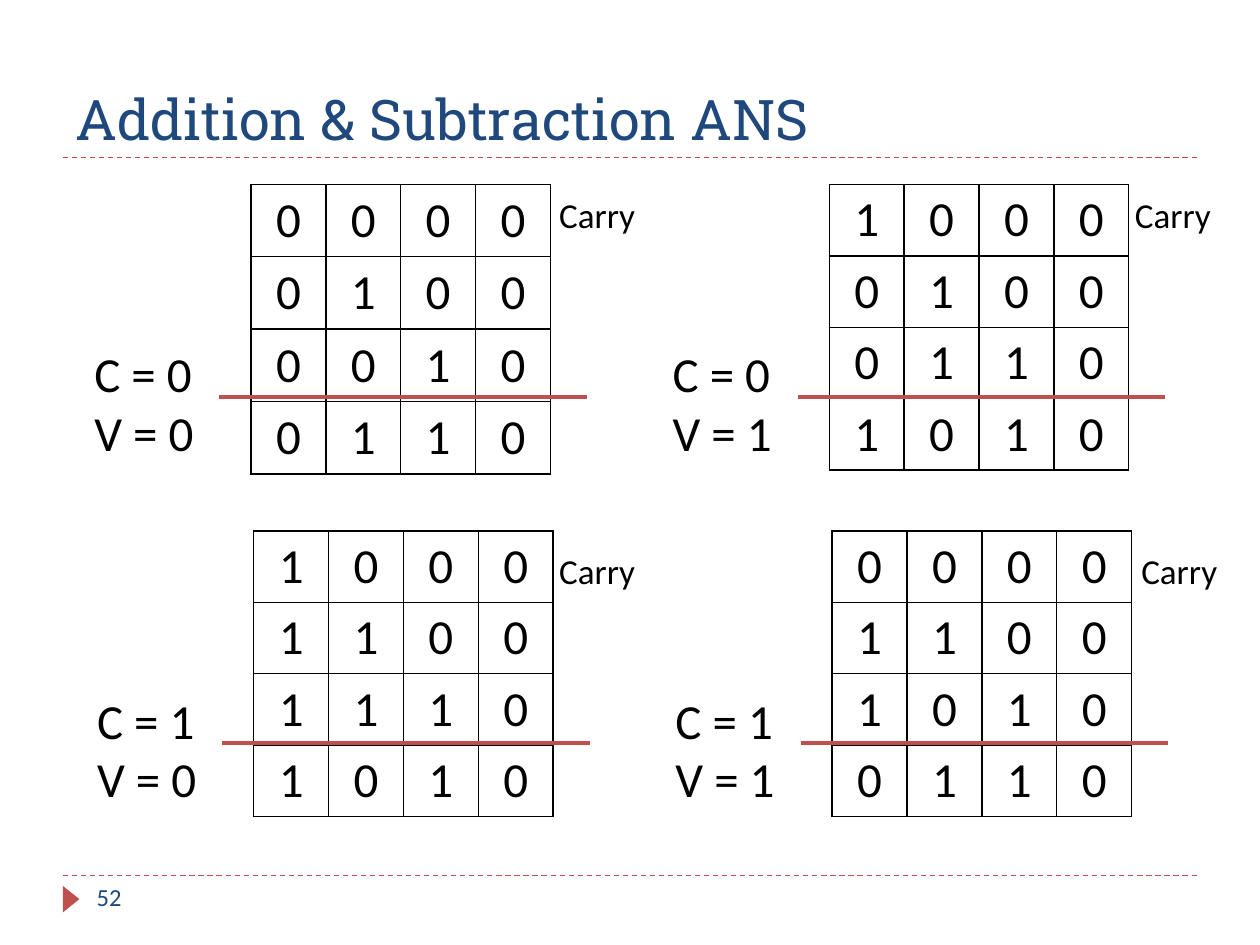
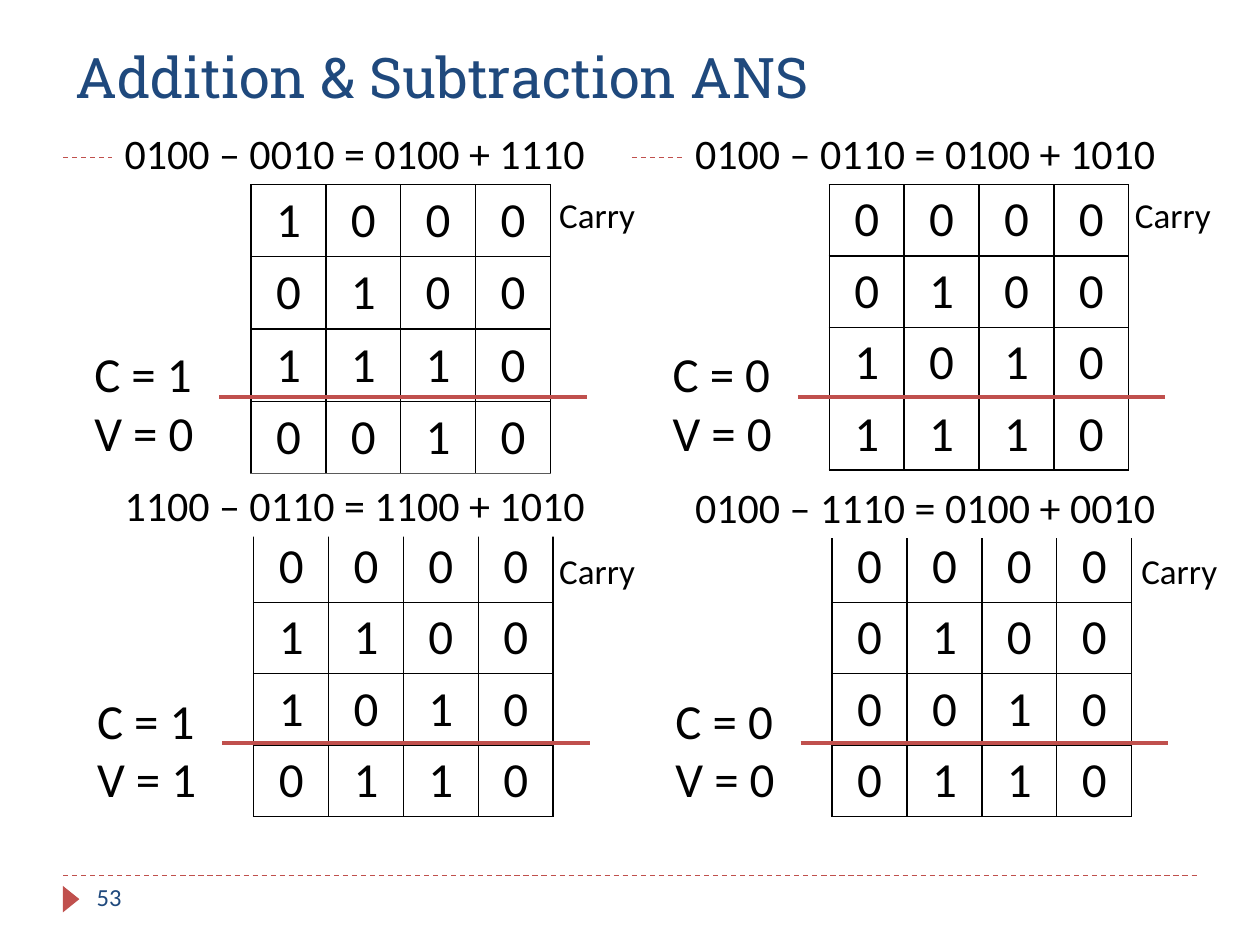
from lxml import etree
from pptx import Presentation
from pptx import util as u
from pptx.dml import color
from pptx.enum import dml, shapes, text
from pptx.oxml import ns

Pt = u.Pt
rgb = color.RGBColor.from_string
NAVY, RED, BLACK, WHITE = "1F497D", "C0504D", "000000", "FFFFFF"
BODY = {"name": "Calibri", "size": Pt(28)}
TITLE = {"name": "Roboto Slab", "size": Pt(32)}
SMALL = {"name": "Calibri", "size": Pt(14)}
CARRY = {"name": "Calibri", "size": Pt(20)}
EQUATION = {"name": "Calibri", "size": Pt(24)}


def add_text(s, x, y, w, h, lines, fmt, hue=BLACK):
    sp = s.shapes.add_textbox(Pt(x), Pt(y), Pt(w), Pt(h))
    tf = sp.text_frame
    tf.word_wrap = True
    tf.text = "\n".join(lines)
    for p in tf.paragraphs:
        for key, value in fmt.items():
            setattr(p.font, key, value)
        p.font.color.rgb = rgb(hue)
    return sp


def add_line(s, x1, x2, y, width, dash=None):
    c = s.shapes.add_connector(shapes.MSO_CONNECTOR.STRAIGHT, Pt(x1), Pt(y), Pt(x2), Pt(y))
    c.line.color.rgb = rgb(RED)
    c.line.width = Pt(width)
    c.line.dash_style = dash
    etree.SubElement(c._element.spPr, ns.qn("a:effectLst"))


# Each sum: carry row, two operands, result, then the C and V flags.
# Order: top left, top right, bottom left, bottom right.
slides = [
    {"number": "52", "title_y": 12.2, "title_h": 77.8, "equations": [],
     "sums": [("0000 0100 0010 0110", "0", "0"),
              ("1000 0100 0110 1010", "0", "1"),
              ("1000 1100 1110 1010", "1", "0"),
              ("0000 1100 1010 0110", "1", "1")]},
    {"number": "53", "title_y": 0, "title_h": 66.2,
     "equations": ["0100 – 0010 = 0100 + 1110", "0100 – 0110 = 0100 + 1010",
                   "1100 – 0110 = 1100 + 1010", "0100 – 1110 = 0100 + 0010"],
     "sums": [("1000 0100 1110 0010", "1", "0"),
              ("0000 0100 1010 1110", "0", "0"),
              ("0000 1100 1010 0110", "1", "1"),
              ("0000 0100 0010 0110", "0", "0")]},
]
COL_STEP, ROW_STEP, ROW_SHIFT = 330.5, 198, 1.6
CELL_W = 42.8
row_heights = [41.4, 40.86, 40.86, 40.86]
carry_spots = [(312.5, 107.3), (641.5, 107.3), (312.5, 310.3), (645.1, 310.3)]
equation_spots = [(64.1, 69.1), (390.2, 69.1), (64.1, 270.7), (390.2, 271.4)]

prs = Presentation()
prs.slide_width, prs.slide_height = Pt(720), Pt(540)

for data in slides:
    s = prs.slides.add_slide(prs.slide_layouts[6])

    # Dashed rules, page marker and number
    for y in (500.4, 90):
        add_line(s, 36, 684, y, 0.75, dml.MSO_LINE.DASH)
    sp = s.shapes.add_shape(shapes.MSO_SHAPE.ISOSCELES_TRIANGLE,
                            Pt(33.1), Pt(509.1), Pt(15.1), Pt(9.4))
    sp.rotation = 90
    sp.shadow.inherit = False
    sp.fill.solid()
    sp.fill.fore_color.rgb = rgb(RED)
    sp.line.fill.background()
    add_text(s, 48.2, 500.4, 156, 28.8, [data["number"]], SMALL, NAVY)

    # Title
    sp = add_text(s, 36, data["title_y"], 648, data["title_h"],
                  ["Addition & Subtraction ANS"], TITLE, NAVY)
    sp.text_frame.vertical_anchor = text.MSO_ANCHOR.BOTTOM

    # Four binary sums in a two by two grid
    for i, (digits, carry_flag, overflow_flag) in enumerate(data["sums"]):
        row, col = divmod(i, 2)
        x = col * COL_STEP + row * ROW_SHIFT
        y = row * ROW_STEP
        height = row_heights[i]
        frame = s.shapes.add_table(4, 4, Pt(143.4 + x), Pt(105.3 + y),
                                   Pt(4 * CELL_W), Pt(4 * height))
        table = frame.table
        table.first_row = table.horz_banding = False
        for column in table.columns:
            column.width = Pt(CELL_W)
        for r, number in enumerate(digits.split()):
            table.rows[r].height = Pt(height)
            for c, digit in enumerate(number):
                cell = table.cell(r, c)
                cell.margin_top = cell.margin_bottom = Pt((height - 34.2) / 2)
                tcPr = cell._tc.get_or_add_tcPr()
                for side in ("a:lnL", "a:lnR", "a:lnT", "a:lnB"):
                    ln = etree.SubElement(tcPr, ns.qn(side), w=str(Pt(1)))
                    fill = etree.SubElement(ln, ns.qn("a:solidFill"))
                    etree.SubElement(fill, ns.qn("a:srgbClr"), val=BLACK)
                cell.fill.background()
                cell.text = digit
                p = cell.text_frame.paragraphs[0]
                p.alignment = text.PP_ALIGN.CENTER
                for key, value in BODY.items():
                    setattr(p.font, key, value)
                p.font.color.rgb = rgb(BLACK)
        add_line(s, 125.4 + x, 335.4 + x, 226.8 + y, 2.25)
        add_text(s, 46.8 + x, 192.8 + y, 80.6, 75,
                 [f"C = {carry_flag}", f"V = {overflow_flag}"], BODY)

    # Subtractions rewritten as additions
    for (x, y), equation in zip(equation_spots, data["equations"]):
        sp = add_text(s, x, y, 296, 36, [equation], EQUATION)
        sp.fill.solid()
        sp.fill.fore_color.rgb = rgb(WHITE)

    # Carry labels
    for x, y in carry_spots:
        add_text(s, x, y, 62.6, 31.7, ["Carry"], CARRY)

prs.save("out.pptx")
